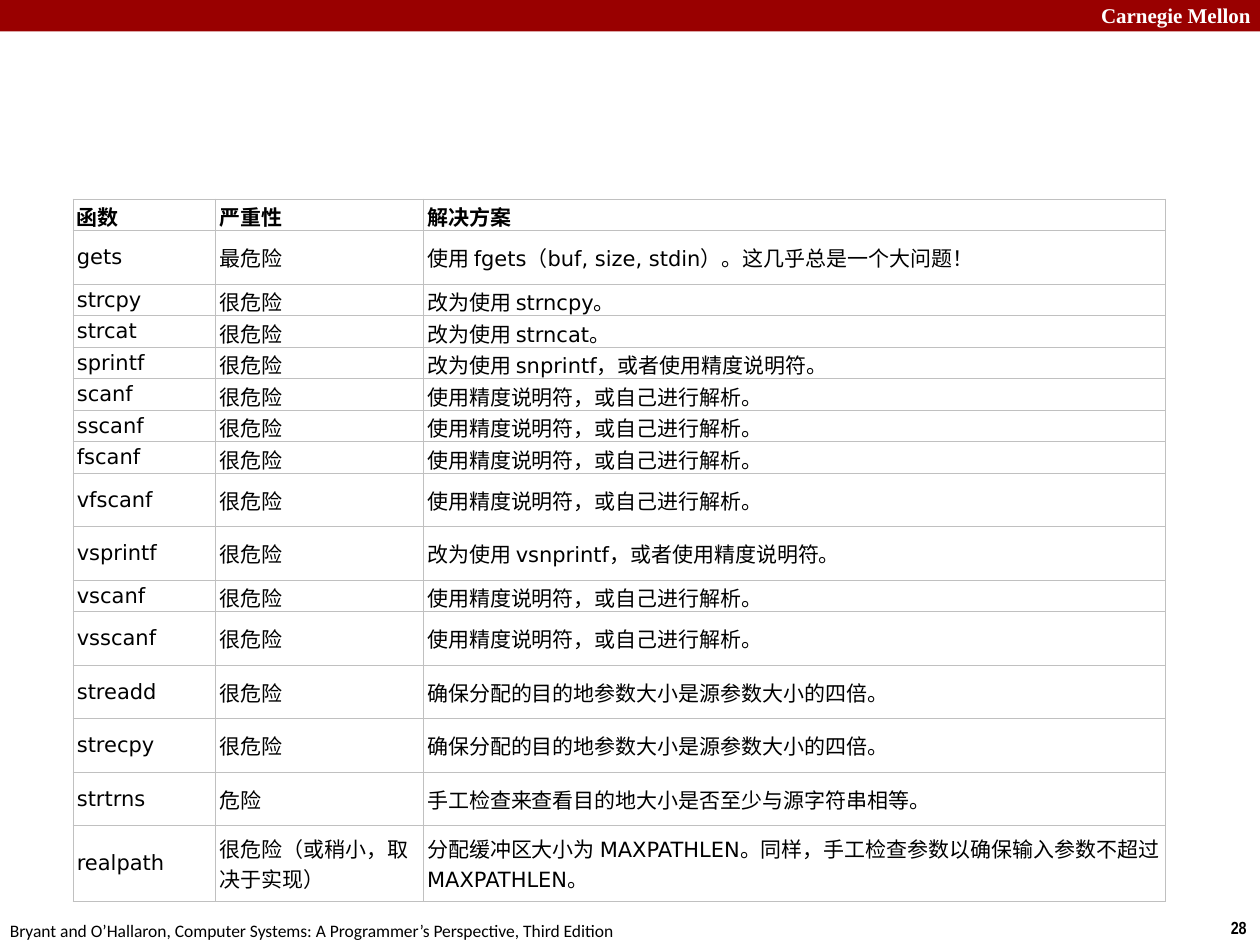
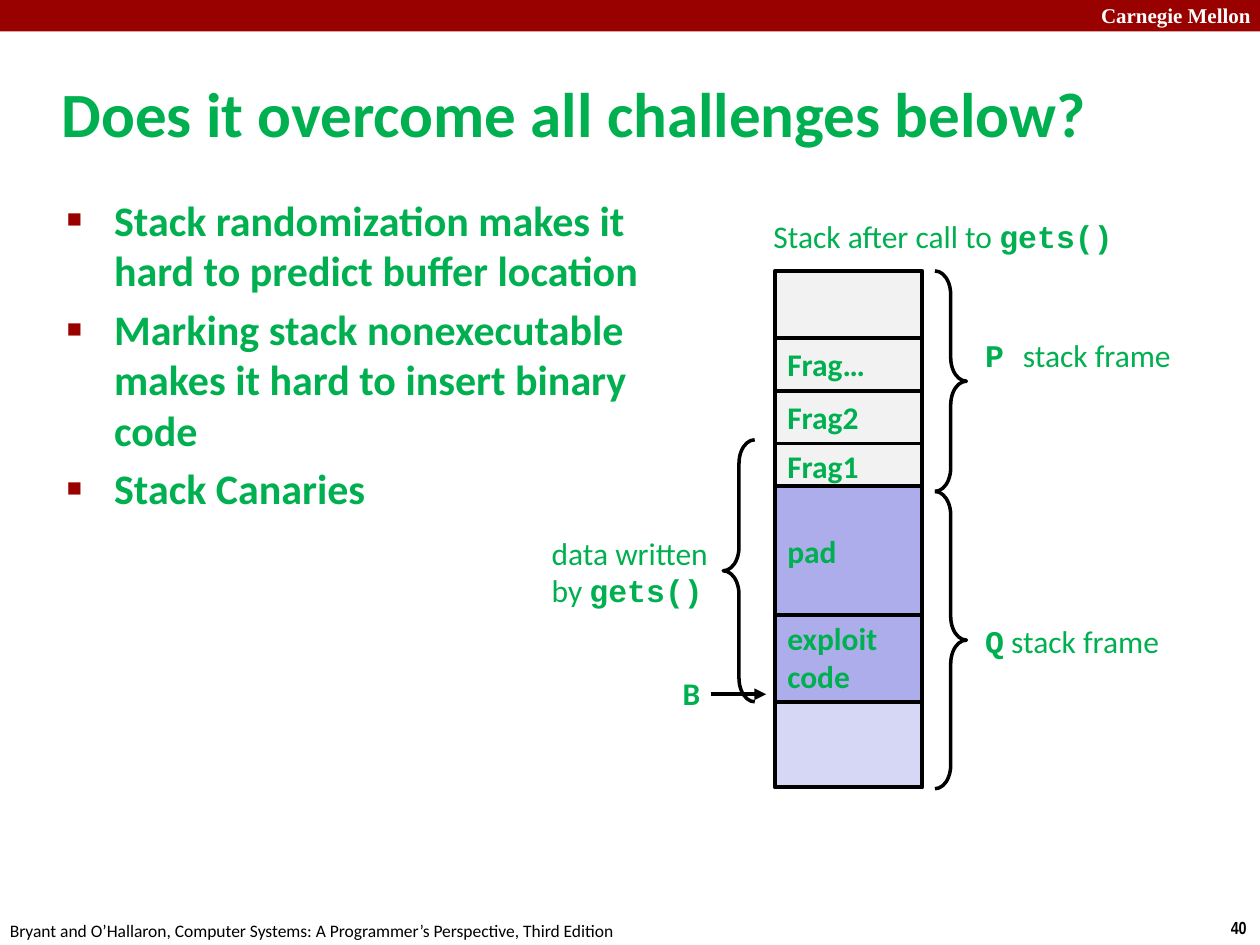
import dataclasses

import lxml.etree
import pptx
import pptx.dml.color
import pptx.enum.shapes
import pptx.enum.text
import pptx.oxml.ns
import pptx.util

Shape = pptx.enum.shapes.MSO_SHAPE
Anchor = pptx.enum.text.MSO_ANCHOR
Fit = pptx.enum.text.MSO_AUTO_SIZE
Align = pptx.enum.text.PP_ALIGN
Pt = pptx.util.Pt
qn = pptx.oxml.ns.qn
COLS, ROWS = 40, 30  # quarter-inch grid over the whole slide


@dataclasses.dataclass(frozen=True)
class Theme:
    """Colours and type styles: font, size, colour, bold."""
    red: str = "990000"
    white: str = "FFFFFF"
    black: str = "000000"
    grid: str = "C0C0C0"
    gray: str = "F2F2F2"
    blue: str = "ADADEB"
    pale: str = "D6D6F5"
    green: str = "00B050"

    def type(self, kind):
        name, size, color, bold = {
            "brand": ("Times New Roman", 12, self.white, True),
            "page": ("Arial Narrow", 10, self.black, True),
            "foot": ("Calibri", 10, self.black, False),
            "title": ("Calibri", 36, self.green, True),
            "list": ("Calibri", 24, self.green, True),
            "label": ("Calibri", 18, self.green, False),
            "strong": ("Calibri", 18, self.green, True),
            "code": ("Courier New", 18, self.green, True),
            "head": ("DejaVu Sans", 12, self.black, True),
            "cell": ("DejaVu Sans", 12, self.black, False),
        }[kind]
        return {"name": name, "size": Pt(size), "bold": bold}, color


def rgb(code):
    return pptx.dml.color.RGBColor.from_string(code)


def node(parent, tag, **attrs):
    return lxml.etree.SubElement(parent, qn(tag), attrs)


class Deck:
    def __init__(self, theme):
        self.theme = theme
        self.file = pptx.Presentation()
        self.file.slide_width = pptx.util.Inches(10)
        self.file.slide_height = pptx.util.Inches(7.5)
        self.slide = None

    def x(self, cols):
        return round(self.file.slide_width * cols / COLS)

    def y(self, rows):
        return round(self.file.slide_height * rows / ROWS)

    def box(self, left, top, wide, high):
        return self.x(left), self.y(top), self.x(wide), self.y(high)

    def page(self, layout, number):
        """Start a slide with the shared band and footer."""
        self.slide = self.file.slides.add_slide(self.file.slide_layouts[layout])
        self.shape(Shape.RECTANGLE, (0, 0, COLS, 1), self.theme.red)
        self.text((34.56, -0.12, 5.72, 1.2), [[("Carnegie Mellon", "brand")]], wrap=True)
        self.text((38.68, 28.92, 1.36, 1.08), [[(number, "page")]])
        self.text((-0.08, 29, 20.32, 1.08), [[(
            "Bryant and O’Hallaron, Computer Systems: "
            "A Programmer’s Perspective, Third Edition", "foot")]])

    def put(self, frame, lines, **form):
        """Fill a text frame; each line is a list of (text, type) runs."""
        for key, value in form.items():
            setattr(frame, key, value)
        for i, line in enumerate(lines):
            para = frame.add_paragraph() if i else frame.paragraphs[0]
            para.alignment = Align.LEFT
            for words, kind in line:
                run = para.add_run()
                run.text = words
                self.style(run.font, kind)

    def style(self, font, kind):
        form, color = self.theme.type(kind)
        for key, value in form.items():
            setattr(font, key, value)
        font.color.rgb = rgb(color)

    def text(self, place, lines, wrap=False, anchor=Anchor.TOP):
        item = self.slide.shapes.add_textbox(*self.box(*place))
        self.put(item.text_frame, lines, word_wrap=wrap,
                 auto_size=Fit.SHAPE_TO_FIT_TEXT, vertical_anchor=anchor)

    def shape(self, kind, place, fill=None, line=None, lines=()):
        item = self.slide.shapes.add_shape(kind, *self.box(*place))
        item.shadow.inherit = False
        if fill:
            item.fill.solid()
            item.fill.fore_color.rgb = rgb(fill)
        else:
            item.fill.background()
        if line:
            item.line.color.rgb = rgb(self.theme.black)
            item.line.width = Pt(line)
        else:
            item.line.fill.background()
        self.put(item.text_frame, lines, word_wrap=True,
                 vertical_anchor=Anchor.MIDDLE)
        return item

    def brace(self, place, turn=0):
        item = self.shape(Shape.LEFT_BRACE, place, line=2)
        item.adjustments[0] = 0.75
        item.rotation = turn

    def arrow(self, start, end, row):
        item = self.slide.shapes.add_connector(
            pptx.enum.shapes.MSO_CONNECTOR.STRAIGHT,
            self.x(start), self.y(row), self.x(end), self.y(row))
        item.line.color.rgb = rgb(self.theme.black)
        item.line.width = Pt(2.25)
        props = item.element.spPr
        node(props.get_or_add_ln(), "a:tailEnd", type="triangle")
        node(props, "a:effectLst")

    def holder(self, index, place, lines, anchor):
        """Move and fill a template placeholder."""
        item = self.slide.placeholders[index]
        item.left, item.top, item.width, item.height = self.box(*place)
        self.put(item.text_frame, lines, word_wrap=True,
                 auto_size=Fit.NONE, vertical_anchor=anchor)
        return item

    def title(self, words):
        self.holder(0, (1.56, 1.92, 36.12, 3.32), [[(words, "title")]], Anchor.MIDDLE)

    def bullets(self, place, items):
        body = self.holder(1, place, [[(words, "list")] for words in items], Anchor.TOP)
        inset = self.x(1.5)
        for i, para in enumerate(body.text_frame.paragraphs):
            para.space_before = Pt(4.8 if i else 0)
            props = para._p.get_or_add_pPr()
            props.set("marL", str(inset))
            props.set("indent", str(-inset))
            node(node(props, "a:buClr"), "a:srgbClr", val=self.theme.red)
            node(props, "a:buSzPct", val="60000")
            node(props, "a:buChar", char="■")

    def table(self, left, top, widths, heights, data):
        place = self.box(left, top, sum(widths), sum(heights))
        grid = self.slide.shapes.add_table(len(data), len(widths), *place).table
        grid.first_row = grid.horz_banding = False
        for col, wide in zip(grid.columns, widths):
            col.width = self.x(wide)
        for r, (row, high) in enumerate(zip(data, heights)):
            grid.rows[r].height = self.y(high)
            for c, words in enumerate(row):
                self.cell(grid.cell(r, c), words, "cell" if r else "head")

    def cell(self, cell, words, kind):
        form = {"margin_left": self.x(0.12), "margin_right": self.x(0.12),
                "margin_top": self.y(0.08), "margin_bottom": self.y(0.08),
                "vertical_anchor": Anchor.MIDDLE}
        for key, value in form.items():
            setattr(cell, key, value)
        for side in "LRTB":
            edge = node(cell._tc.get_or_add_tcPr(), "a:ln" + side, w=str(int(Pt(0.6))))
            node(node(edge, "a:solidFill"), "a:srgbClr", val=self.theme.grid)
        cell.fill.solid()
        cell.fill.fore_color.rgb = rgb(self.theme.white)
        self.put(cell.text_frame, [[(words, kind)]])


def risks(deck):
    """Table of unsafe functions."""
    deck.page(6, "28")
    # The title placeholder stays unused here
    title = deck.slide.shapes.title
    if title is not None:
        title.element.getparent().remove(title.element)
    high = "很危险"
    scan = "使用精度说明符，或自己进行解析。"
    quad = "确保分配的目的地参数大小是源参数大小的四倍。"
    data = [
        ("函数", "严重性", "解决方案"),
        ("gets", "最危险", "使用 fgets（buf, size, stdin）。这几乎总是一个大问题！"),
        ("strcpy", high, "改为使用 strncpy。"),
        ("strcat", high, "改为使用 strncat。"),
        ("sprintf", high, "改为使用 snprintf，或者使用精度说明符。"),
        ("scanf", high, scan),
        ("sscanf", high, scan),
        ("fscanf", high, scan),
        ("vfscanf", high, scan),
        ("vsprintf", high, "改为使用 vsnprintf，或者使用精度说明符。"),
        ("vscanf", high, scan),
        ("vsscanf", high, scan),
        ("streadd", high, quad),
        ("strecpy", high, quad),
        ("strtrns", "危险", "手工检查来查看目的地大小是否至少与源字符串相等。"),
        ("realpath", "很危险（或稍小，取决于实现）",
         "分配缓冲区大小为 MAXPATHLEN。同样，手工检查参数以确保输入参数不超过 MAXPATHLEN。"),
    ]
    slim, tall = 1, 1.7
    heights = [slim, tall] + [slim] * 6 + [tall] * 2 + [slim] + [tall] * 4 + [2.4]
    deck.table(2.32, 6.32, (4.52, 6.6, 23.56), heights, data)


def attack(deck):
    """Stack layout after an overflow."""
    theme = deck.theme
    deck.page(1, "40")
    deck.title("Does it overcome all challenges below?")
    deck.bullets((1.72, 5.96, 20.52, 21.76), [
        "Stack randomization makes it hard to predict buffer location",
        "Marking stack nonexecutable makes it hard to insert binary code",
        "Stack Canaries",
    ])

    # Stack blocks, back to front: lines, top, height, fill
    blocks = [
        (["Frag1"], 13.96, 1.68, theme.gray),
        ([], 8.6, 5.32, theme.gray),
        ([], 22.28, 2.72, theme.pale),
        (["exploit", "code"], 19.44, 2.84, theme.blue),
        (["pad"], 15.44, 4.08, theme.blue),
        (["Frag2"], 12.4, 1.68, theme.gray),
        (["Frag…"], 10.72, 1.68, theme.gray),
    ]
    for words, top, high, fill in blocks:
        deck.shape(Shape.RECTANGLE, (24.6, top, 4.68, high), fill, 2.25,
                   [[(word, "strong")] for word in words])

    # Braces and pointer
    deck.brace((29.68, 8.6, 1, 7), turn=180)
    deck.brace((29.68, 15.6, 1, 9.44), turn=180)
    deck.brace((22.96, 13.96, 1, 8.32))
    deck.arrow(22.56, 24.32, 22.04)

    # Labels
    call = ("gets()", "code")
    deck.text((24.16, 6.68, 11.72, 1.6), [[("Stack after call to ", "label"), call]])
    deck.text((17.12, 16.72, 6, 2.84),
              [[("data written", "label")], [("by ", "label"), call]],
              wrap=True, anchor=Anchor.MIDDLE)
    marks = [
        ((30.88, 10.48, 6.8, 1.6), [("P ", "code"), ("stack frame", "label")]),
        ((30.88, 19.56, 6.44, 1.6), [("Q", "code"), (" stack frame", "label")]),
        ((21.28, 21.2, 1.36, 1.6), [("B", "strong")]),
    ]
    for place, line in marks:
        deck.text(place, [line], anchor=Anchor.MIDDLE)


def main():
    deck = Deck(Theme())
    risks(deck)
    attack(deck)
    deck.file.save("out.pptx")


if __name__ == "__main__":
    main()
